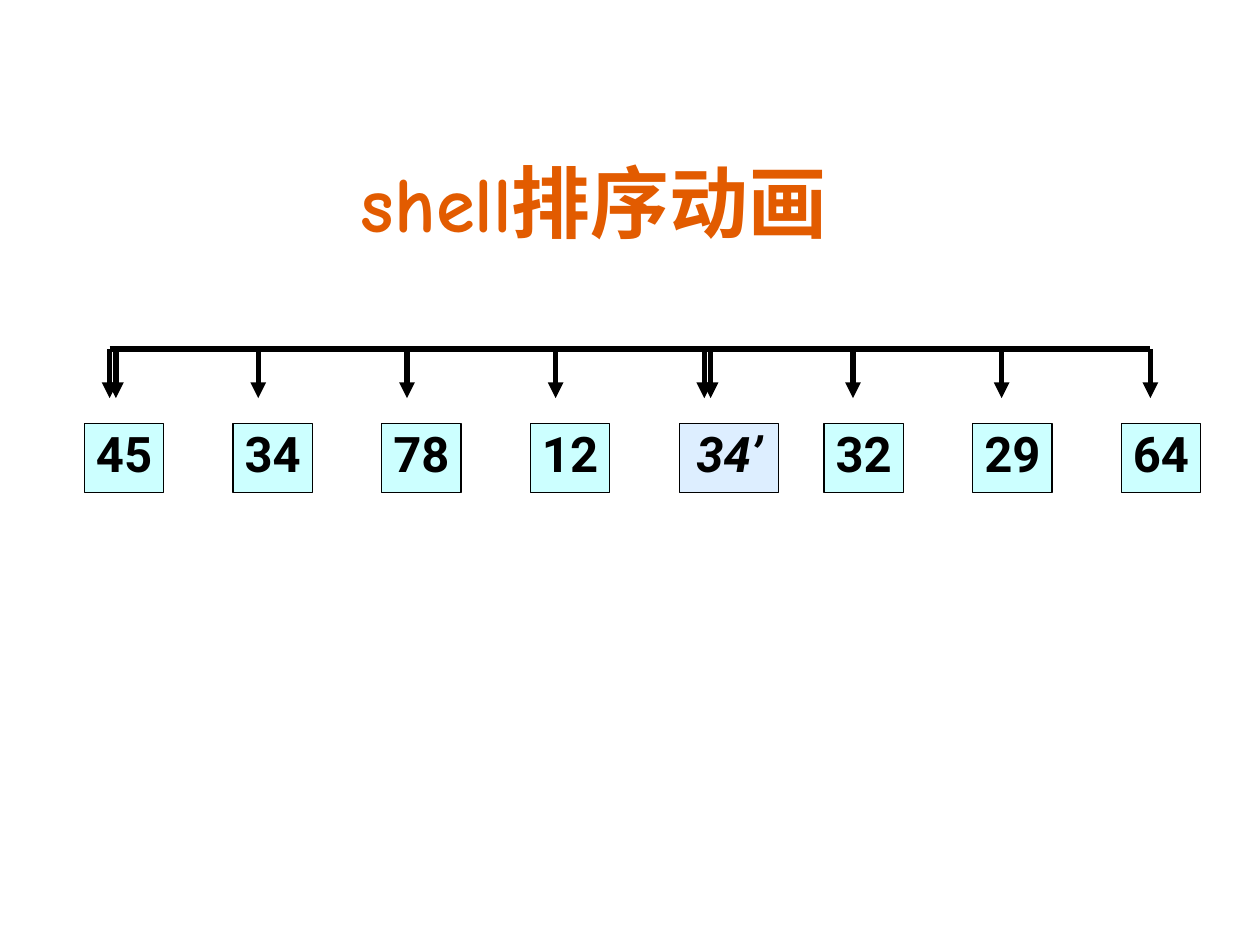
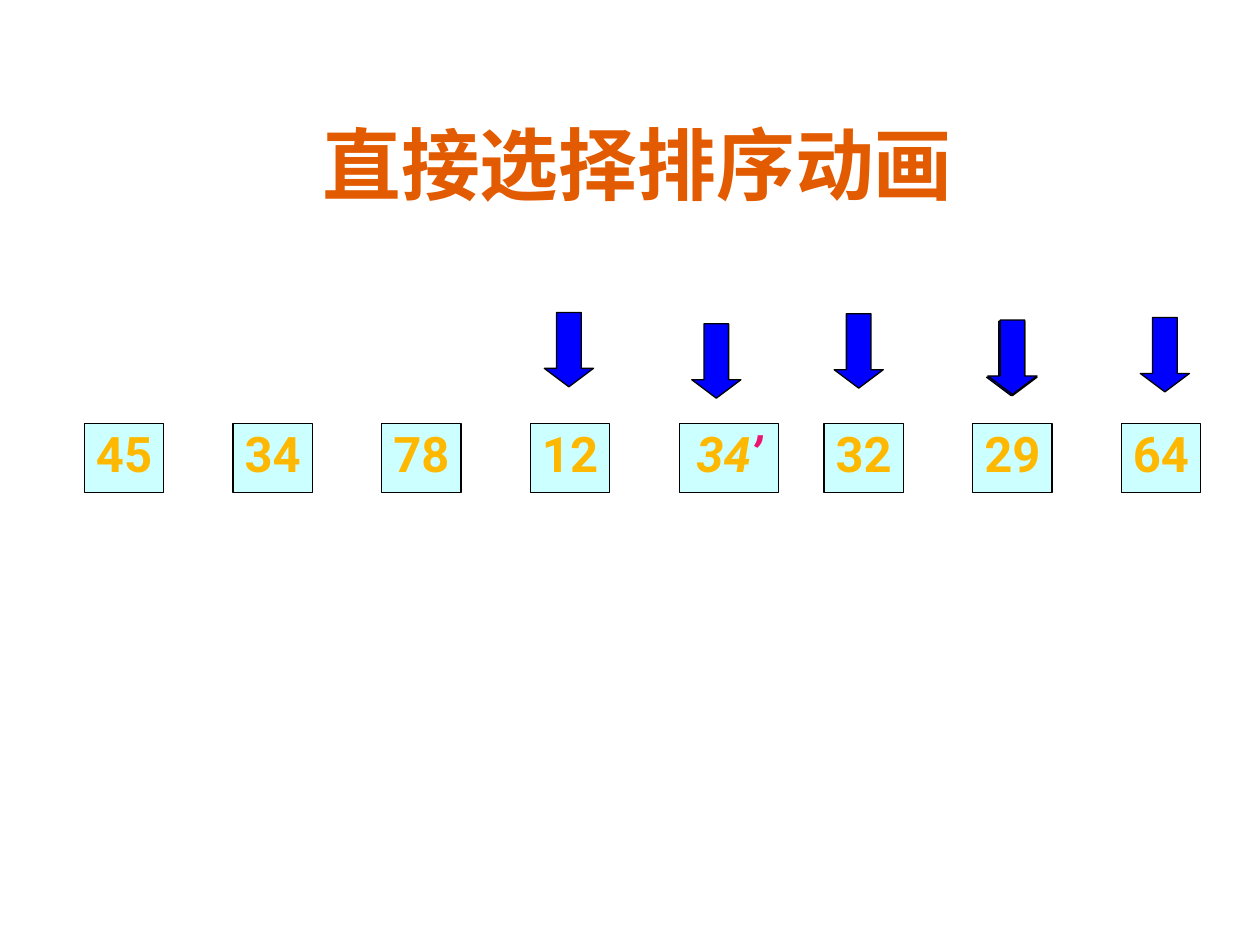
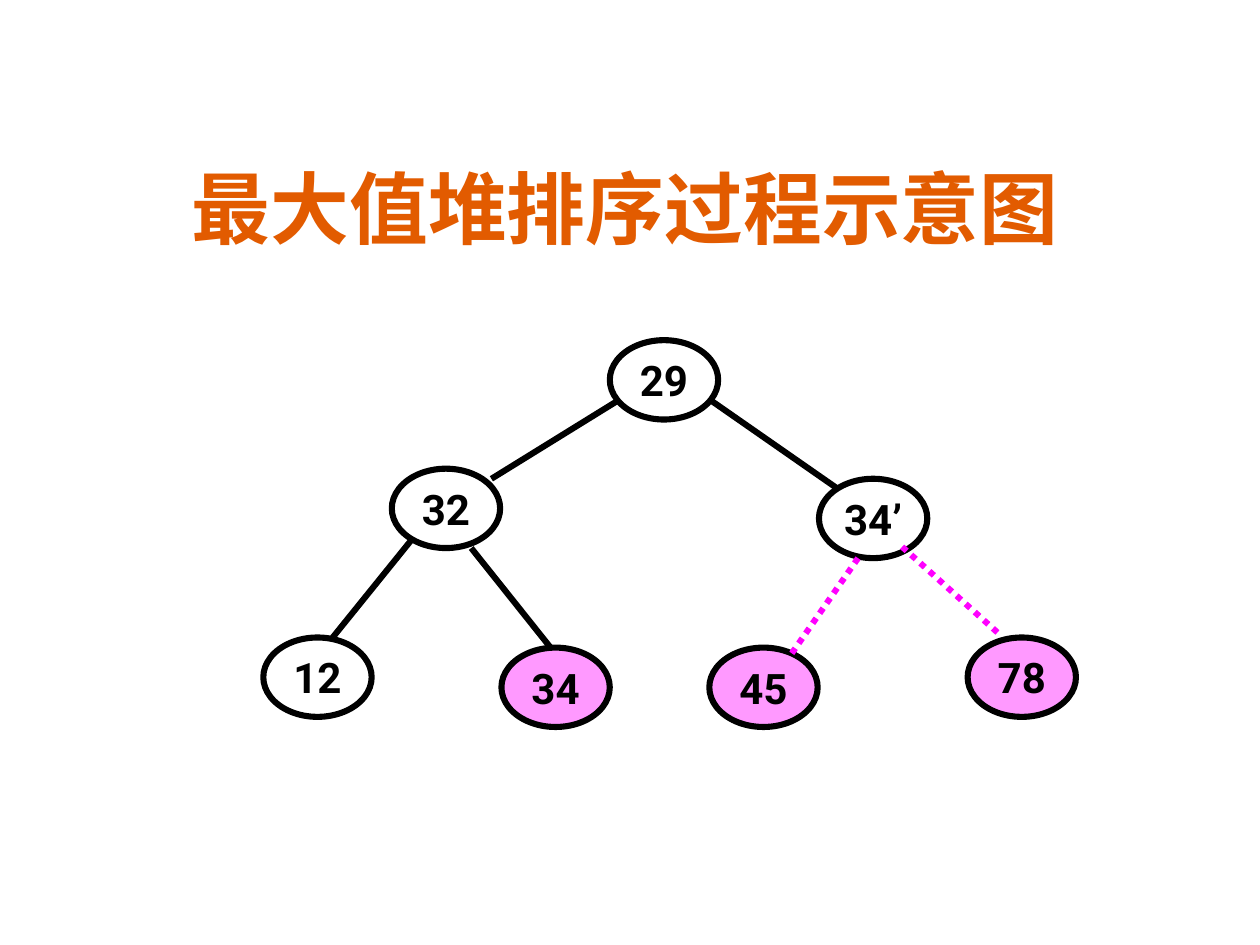
from typing import NamedTuple

from lxml import etree
from pptx import Presentation
from pptx.dml.color import RGBColor
from pptx.enum.dml import MSO_LINE
from pptx.enum.shapes import MSO_CONNECTOR, MSO_SHAPE
from pptx.enum.text import MSO_ANCHOR, PP_ALIGN
from pptx.oxml.ns import qn
from pptx.util import Inches, Pt

RECT, OVAL, DOWN_ARROW = MSO_SHAPE.RECTANGLE, MSO_SHAPE.OVAL, MSO_SHAPE.DOWN_ARROW
STRAIGHT = MSO_CONNECTOR.STRAIGHT
DOTTED = MSO_LINE.ROUND_DOT
CENTER = PP_ALIGN.CENTER
MIDDLE, BOTTOM = MSO_ANCHOR.MIDDLE, MSO_ANCHOR.BOTTOM

BLACK = RGBColor(0x00, 0x00, 0x00)
ORANGE = RGBColor(0xE2, 0x5B, 0x00)
CYAN = RGBColor(0xCC, 0xFF, 0xFF)
SKY = RGBColor(0x99, 0xCC, 0xFF)
AMBER = RGBColor(0xFF, 0xB8, 0x00)
CRIMSON = RGBColor(0xED, 0x13, 0x70)
BLUE = RGBColor(0x00, 0x00, 0xFF)
PINK = RGBColor(0xFF, 0x99, 0xFF)
MAGENTA = RGBColor(0xFF, 0x00, 0xFF)

TITLE_FONT, BODY_FONT = "Comic Neue", "Roboto"

VALUES = ["45", "34", "78", "12", "34’", "32", "29", "64"]
DUPLICATE = VALUES.index("34’")
CELL_LEFT, CELL_TOP, CELL_PITCH = 0.67, 3.36, 1.18
CELL_WIDTH, WIDE_CELL_WIDTH, CELL_HEIGHT = 0.63, 0.79, 0.55
SHIFT_AFTER_WIDE = 0.03

BRACKET_TOP, ARROW_TIP = 2.77, 3.16
SHELL_GAP = 4
BRACKET_LEFTS = [0.92] + [0.87 + CELL_PITCH * i for i in range(SHELL_GAP)]

POINTER_WIDTH, POINTER_HEIGHT = 0.39, 0.59
NODE_WIDTH, NODE_HEIGHT = 0.86, 0.63


class Box(NamedTuple):
    left: float
    top: float
    width: float
    height: float


class Node(NamedTuple):
    text: str
    left: float
    top: float
    is_sorted: bool = False


class Edge(NamedTuple):
    x1: float
    y1: float
    x2: float
    y2: float
    is_removed: bool = False


POINTERS = [(4.32, 2.48), (6.62, 2.49), (7.84, 2.55), (7.83, 2.55),
            (5.49, 2.57), (7.84, 2.54), (9.05, 2.52)]

HEAP_NODES = [
    Node("29", 4.84, 2.7),
    Node("32", 3.11, 3.72),
    Node("34’", 6.5, 3.8),
    Node("45", 5.63, 5.14, True),
    Node("12", 2.09, 5.06),
    Node("34", 3.98, 5.14, True),
    Node("78", 7.68, 5.06, True),
]

HEAP_EDGES = [
    Edge(4.92, 3.17, 3.9, 3.8),
    Edge(3.27, 4.28, 2.64, 5.06),
    Edge(3.74, 4.35, 4.37, 5.14),
    Edge(5.63, 3.17, 6.65, 3.88),
    Edge(6.81, 4.43, 6.26, 5.22, True),
    Edge(7.16, 4.34, 7.95, 5.05, True),
]


def format_run(r, font: str, size: float, color: RGBColor, italic: bool = False) -> None:
    r.font.name = font
    r.font.size = Pt(size)
    r.font.bold = True
    if italic:
        r.font.italic = True
    r.font.color.rgb = color


def add_title_slide(prs, title: str, box: Box):
    """Add a blank slide with a bottom-anchored title."""
    s = prs.slides.add_slide(prs.slide_layouts[6])
    tf = s.shapes.add_textbox(*map(Inches, box)).text_frame
    tf.word_wrap = True
    tf.vertical_anchor = BOTTOM
    p = tf.paragraphs[0]
    p.text = title
    p.alignment = CENTER
    format_run(p.runs[0], TITLE_FONT, 45, ORANGE)
    return s


def add_outlined(s, kind, box: Box, fill: RGBColor | None, line_width: float):
    sp = s.shapes.add_shape(kind, *map(Inches, box))
    sp.shadow.inherit = False
    if fill is None:
        sp.fill.background()
    else:
        sp.fill.solid()
        sp.fill.fore_color.rgb = fill
    sp.line.color.rgb = BLACK
    sp.line.width = Pt(line_width)
    return sp


def set_label(sp, parts: list[str], size: float, color: RGBColor, space: float):
    """Write centred runs on one line and return their paragraph."""
    tf = sp.text_frame
    tf.word_wrap = False
    tf.vertical_anchor = MIDDLE
    p = tf.paragraphs[0]
    p.alignment = CENTER
    p.space_before = Pt(space)
    for part in parts:
        r = p.add_run()
        r.text = part
        format_run(r, BODY_FONT, size, color)
    return p


def add_cells(s, color: RGBColor) -> tuple:
    """Draw the array and return the cell and paragraph of the duplicate key."""
    duplicate = ()
    for i, value in enumerate(VALUES):
        is_duplicate = i == DUPLICATE
        shift = SHIFT_AFTER_WIDE if i > DUPLICATE else 0
        width = WIDE_CELL_WIDTH if is_duplicate else CELL_WIDTH
        box = Box(CELL_LEFT + CELL_PITCH * i - shift, CELL_TOP, width, CELL_HEIGHT)
        sp = add_outlined(s, RECT, box, CYAN, 0.75)
        parts = [value[:-1], value[-1]] if is_duplicate else [value]
        p = set_label(sp, parts, 28, color, 7)
        p.line_spacing = 0.8
        if is_duplicate:
            for r in p.runs:
                r.font.italic = True
            duplicate = (sp, p)
    return duplicate


def set_alpha(sp, percent: int) -> None:
    color = sp.fill._xPr.find(f"{qn('a:solidFill')}/{qn('a:srgbClr')}")
    etree.SubElement(color, qn("a:alpha"), val=str(percent * 1000))


def add_line(shapes, edge: Edge, color: RGBColor, width: float, has_head: bool = False):
    x1, y1, x2, y2 = map(Inches, edge[:4])
    c = shapes.add_connector(STRAIGHT, x1, y1, x2, y2)
    c.line.color.rgb = color
    c.line.width = Pt(width)
    if has_head:
        etree.SubElement(c.line._get_or_add_ln(), qn("a:tailEnd"), type="triangle")
    etree.SubElement(c._element.spPr, qn("a:effectLst"))
    return c


def add_bracket(s, left: float) -> None:
    """Draw a bar with an arrow down to each of two compared cells."""
    shapes = s.shapes.add_group_shape().shapes
    right = left + CELL_PITCH * SHELL_GAP
    add_line(shapes, Edge(left, BRACKET_TOP, right, BRACKET_TOP), BLACK, 3)
    for x in (left, right):
        add_line(shapes, Edge(x, BRACKET_TOP, x, ARROW_TIP), BLACK, 3, has_head=True)


def build_shell_sort(prs) -> None:
    s = add_title_slide(prs, "shell排序动画 ", Box(0.67, 1.23, 8.23, 0.79))
    sp, _ = add_cells(s, BLACK)
    sp.fill.fore_color.rgb = SKY
    set_alpha(sp, 33)
    for left in BRACKET_LEFTS:
        add_bracket(s, left)


def build_selection_sort(prs) -> None:
    s = add_title_slide(prs, "直接选择排序动画 ", Box(0.63, 0.47, 9, 1.25))
    _, p = add_cells(s, AMBER)
    p.runs[-1].font.color.rgb = CRIMSON
    for left, top in POINTERS:
        box = Box(left, top, POINTER_WIDTH, POINTER_HEIGHT)
        sp = add_outlined(s, DOWN_ARROW, box, BLUE, 0.75)
        sp.adjustments[0] = 0.5
        sp.adjustments[1] = 0.375


def build_heap_sort(prs) -> None:
    s = add_title_slide(prs, "最大值堆排序过程示意图", Box(0.7, 0.47, 8.52, 1.6))
    for node in HEAP_NODES:
        box = Box(node.left, node.top, NODE_WIDTH, NODE_HEIGHT)
        sp = add_outlined(s, OVAL, box, PINK if node.is_sorted else None, 3.5)
        set_label(sp, [node.text], 24, BLACK, 6)
    for edge in HEAP_EDGES:
        c = add_line(s.shapes, edge, MAGENTA if edge.is_removed else BLACK, 3.5)
        if edge.is_removed:
            c.line.dash_style = DOTTED


def main() -> None:
    prs = Presentation()
    prs.slide_width, prs.slide_height = Inches(10), Inches(7.5)
    build_shell_sort(prs)
    build_selection_sort(prs)
    build_heap_sort(prs)
    prs.save("out.pptx")


if __name__ == "__main__":
    main()
